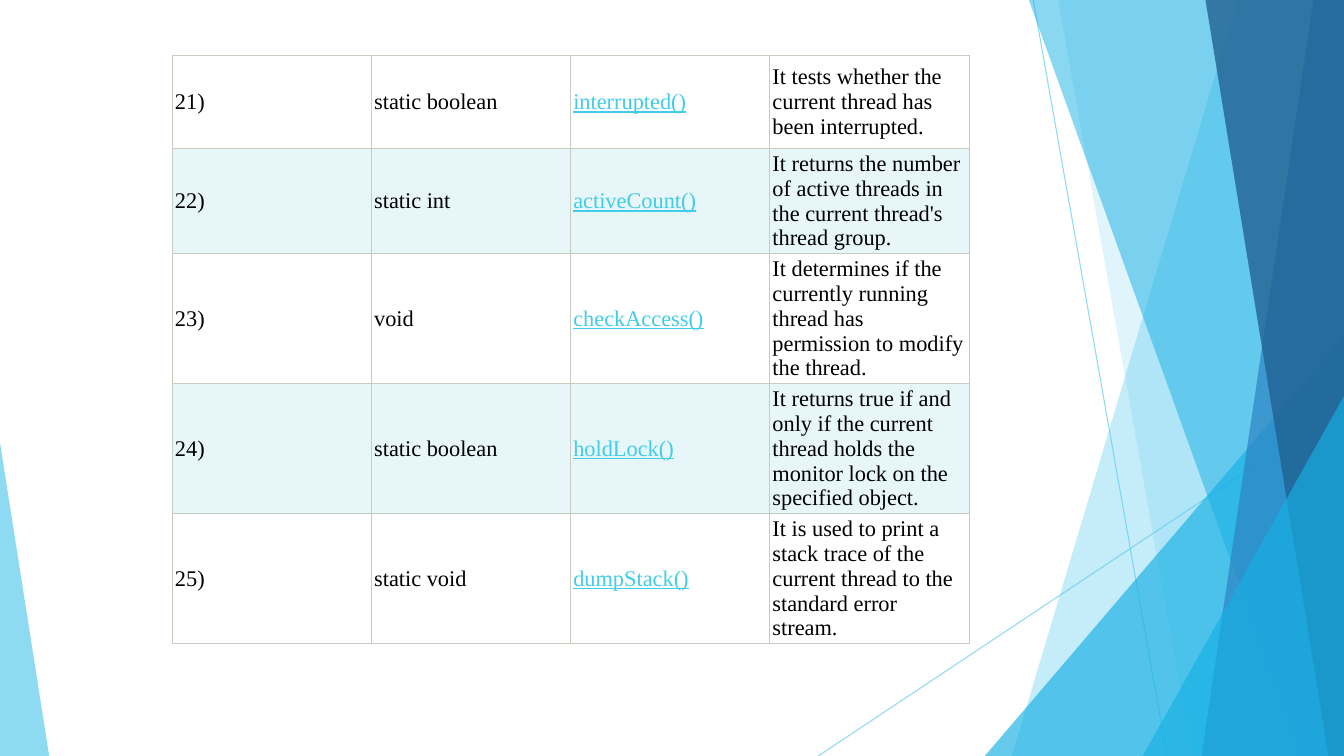
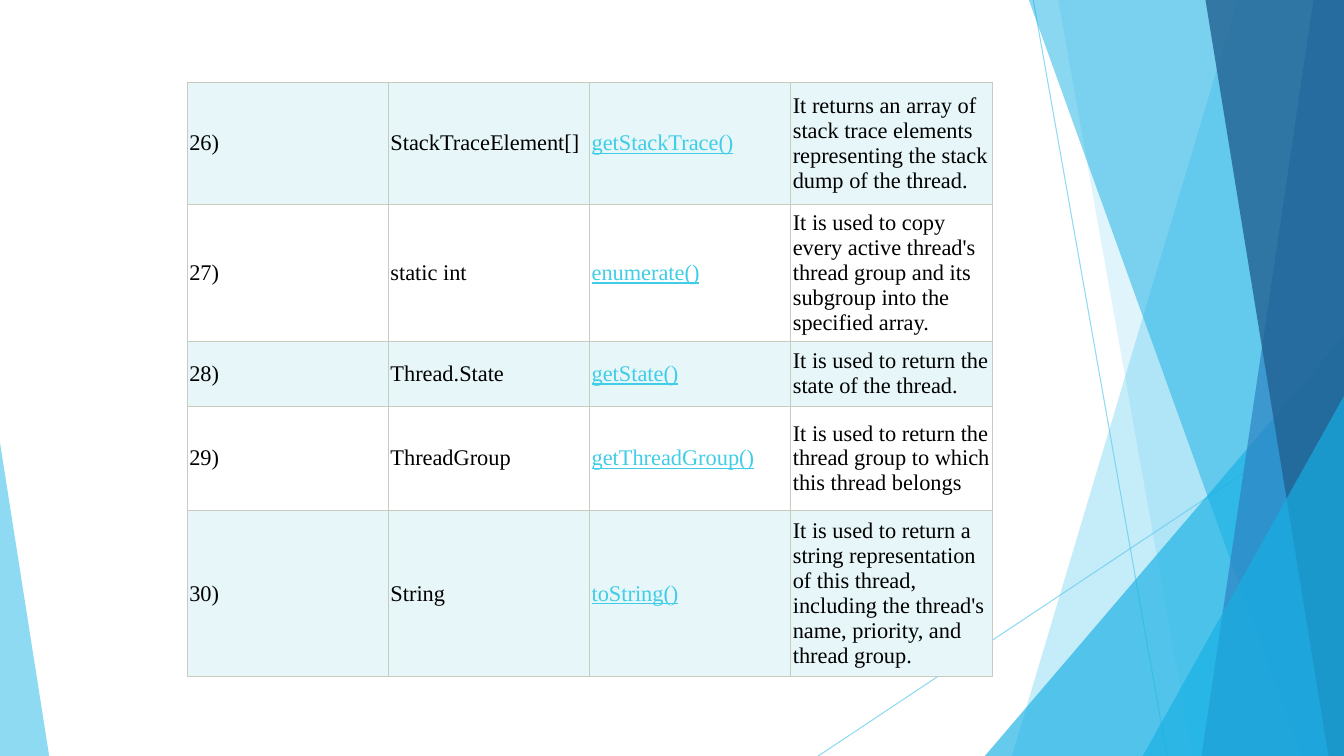
import lxml.etree
import pptx
import pptx.dml.color
import pptx.enum.shapes
import pptx.enum.text
import pptx.oxml.ns
import pptx.util

Cm = pptx.util.Cm
Pt = pptx.util.Pt
qn = pptx.oxml.ns.qn

# Shared page size (cm), colours and text style
W, H = 33.87, 19.05
SKY, CYAN, BLUE, NAVY = "5FCBEF", "17B0E4", "2E83C3", "226292"
WHITE, TINT, BORDER = "FFFFFF", "E7F6F8", "C7CCBE"
TEXT, METHOD = "000000", "3FCDE7"
BODY = {"name": "Times New Roman", "size": Pt(16), "bold": False}
PLAIN_TABLE = {"first_row": False, "horz_banding": False}
METHOD_COL = 2

# Background bands: lines (x1, y1, x2, y2), panels (top x, bottom x, colour,
# opacity) reaching the right edge, triangles (left, top, width, peak, colour, opacity)
LINES = [(26.04, 0, 29.41, H), (W, 10.24, 20.62, H)]
BACK_PANELS = [(31.19, 25.5, SKY, 36), (26.67, 30.05, SKY, 20)]
FRONT_PANELS = [
    (25.93, 32.79, CYAN, 50),
    (33.1, 30.28, BLUE, 70),
    (30.38, 33.48, NAVY, 80),
]
BACK_TRIANGLE = (24.82, 8.46, W - 24.82, 1, CYAN, 66)
FRONT_TRIANGLES = [
    (28.8, 9.98, W - 28.8, 1, CYAN, 66),
    (0, 11.15, 1.24, 0, SKY, 70),
]

# Tables: place, sizes and rows; numbering continues from "first"
TABLES = [
    {
        "left": 4.34, "top": 1.4, "col": 5.02, "inset": 0.07, "first": 21,
        "heights": [2.34, 2.64, 3.27, 3.27, 3.27],
        "rows": [
            ("static boolean", "interrupted()",
             "It tests whether the current thread has been interrupted."),
            ("static int", "activeCount()",
             "It returns the number of active threads in the current thread's thread group."),
            ("void", "checkAccess()",
             "It determines if the currently running thread has permission to modify the thread."),
            ("static boolean", "holdLock()",
             "It returns true if and only if the current thread holds the monitor lock "
             "on the specified object."),
            ("static void", "dumpStack()",
             "It is used to print a stack trace of the current thread to the standard "
             "error stream."),
        ],
    },
    {
        "left": 4.72, "top": 2.07, "col": 5.07, "inset": 0.05, "first": 26,
        "heights": [3.08, 3.45, 1.64, 2.62, 4.19],
        "rows": [
            ("StackTraceElement[]", "getStackTrace()",
             "It returns an array of stack trace elements representing the stack dump "
             "of the thread."),
            ("static int", "enumerate()",
             "It is used to copy every active thread's thread group and its subgroup "
             "into the specified array."),
            ("Thread.State", "getState()",
             "It is used to return the state of the thread."),
            ("ThreadGroup", "getThreadGroup()",
             "It is used to return the thread group to which this thread belongs"),
            ("String", "toString()",
             "It is used to return a string representation of this thread, including "
             "the thread's name, priority, and thread group."),
        ],
    },
]


def rgb(color):
    return pptx.dml.color.RGBColor.from_string(color)


def set_format(obj, values):
    for name, value in values.items():
        setattr(obj, name, value)


def set_opacity(sp, percent):
    for clr in sp._element.spPr.iter(qn("a:srgbClr")):
        lxml.etree.SubElement(clr, qn("a:alpha"), val=str(percent * 1000))


def paint(sp, color, opacity):
    sp.shadow.inherit = False
    sp.line.fill.background()
    sp.fill.solid()
    sp.fill.fore_color.rgb = rgb(color)
    set_opacity(sp, opacity)


# Background elements
def add_line(s, x1, y1, x2, y2):
    sp = s.shapes.add_connector(
        pptx.enum.shapes.MSO_CONNECTOR.STRAIGHT, Cm(x1), Cm(y1), Cm(x2), Cm(y2))
    sp.line.color.rgb = rgb(SKY)
    sp.line.width = Pt(0.75)
    set_opacity(sp, 70)
    lxml.etree.SubElement(sp._element.spPr, qn("a:effectLst"))


def add_panel(s, top_x, bottom_x, color, opacity):
    outline = s.shapes.build_freeform(Cm(top_x), 0)
    outline.add_line_segments(
        [(Cm(W), 0), (Cm(W), Cm(H)), (Cm(bottom_x), Cm(H))], close=True)
    paint(outline.convert_to_shape(), color, opacity)


def add_triangle(s, left, top, width, peak, color, opacity):
    sp = s.shapes.add_shape(
        pptx.enum.shapes.MSO_SHAPE.ISOSCELES_TRIANGLE,
        Cm(left), Cm(top), Cm(width), Cm(H - top))
    sp.adjustments[0] = peak
    paint(sp, color, opacity)


def add_background(s):
    for line in LINES:
        add_line(s, *line)
    for panel in BACK_PANELS:
        add_panel(s, *panel)
    add_triangle(s, *BACK_TRIANGLE)
    for panel in FRONT_PANELS:
        add_panel(s, *panel)
    for triangle in FRONT_TRIANGLES:
        add_triangle(s, *triangle)


# Method table
def add_borders(cell):
    tcPr = cell._tc.get_or_add_tcPr()
    for i, side in enumerate(("lnL", "lnR", "lnT", "lnB")):
        ln = lxml.etree.Element(qn("a:" + side), w=str(Pt(0.6)))
        fill = lxml.etree.SubElement(ln, qn("a:solidFill"))
        lxml.etree.SubElement(fill, qn("a:srgbClr"), val=BORDER)
        tcPr.insert(i, ln)


def fill_cell(cell, text, inset, fill, is_method):
    set_format(cell, {
        "margin_left": Cm(inset), "margin_right": Cm(inset),
        "margin_top": Cm(inset), "margin_bottom": Cm(inset),
        "vertical_anchor": pptx.enum.text.MSO_ANCHOR.MIDDLE,
    })
    cell.fill.solid()
    cell.fill.fore_color.rgb = rgb(fill)
    add_borders(cell)
    r = cell.text_frame.paragraphs[0].add_run()
    r.text = text
    set_format(r.font, {**BODY, "underline": is_method})
    r.font.color.rgb = rgb(METHOD if is_method else TEXT)


def add_method_table(s, left, top, col, inset, first, heights, rows):
    n_cols = len(rows[0]) + 1
    table = s.shapes.add_table(
        len(rows), n_cols, Cm(left), Cm(top), Cm(col * n_cols), Cm(sum(heights))).table
    set_format(table, PLAIN_TABLE)
    for column in table.columns:
        column.width = Cm(col)
    for i, (height, row) in enumerate(zip(heights, rows)):
        table.rows[i].height = Cm(height)
        number = first + i
        fill = WHITE if number % 2 else TINT
        for j, text in enumerate((f"{number})", *row)):
            fill_cell(table.cell(i, j), text, inset, fill, j == METHOD_COL)


def main():
    prs = pptx.Presentation()
    set_format(prs, {"slide_width": Cm(W), "slide_height": Cm(H)})
    for content in TABLES:
        s = prs.slides.add_slide(prs.slide_layouts[6])
        add_background(s)
        add_method_table(s, **content)
    prs.save("out.pptx")


if __name__ == "__main__":
    main()
